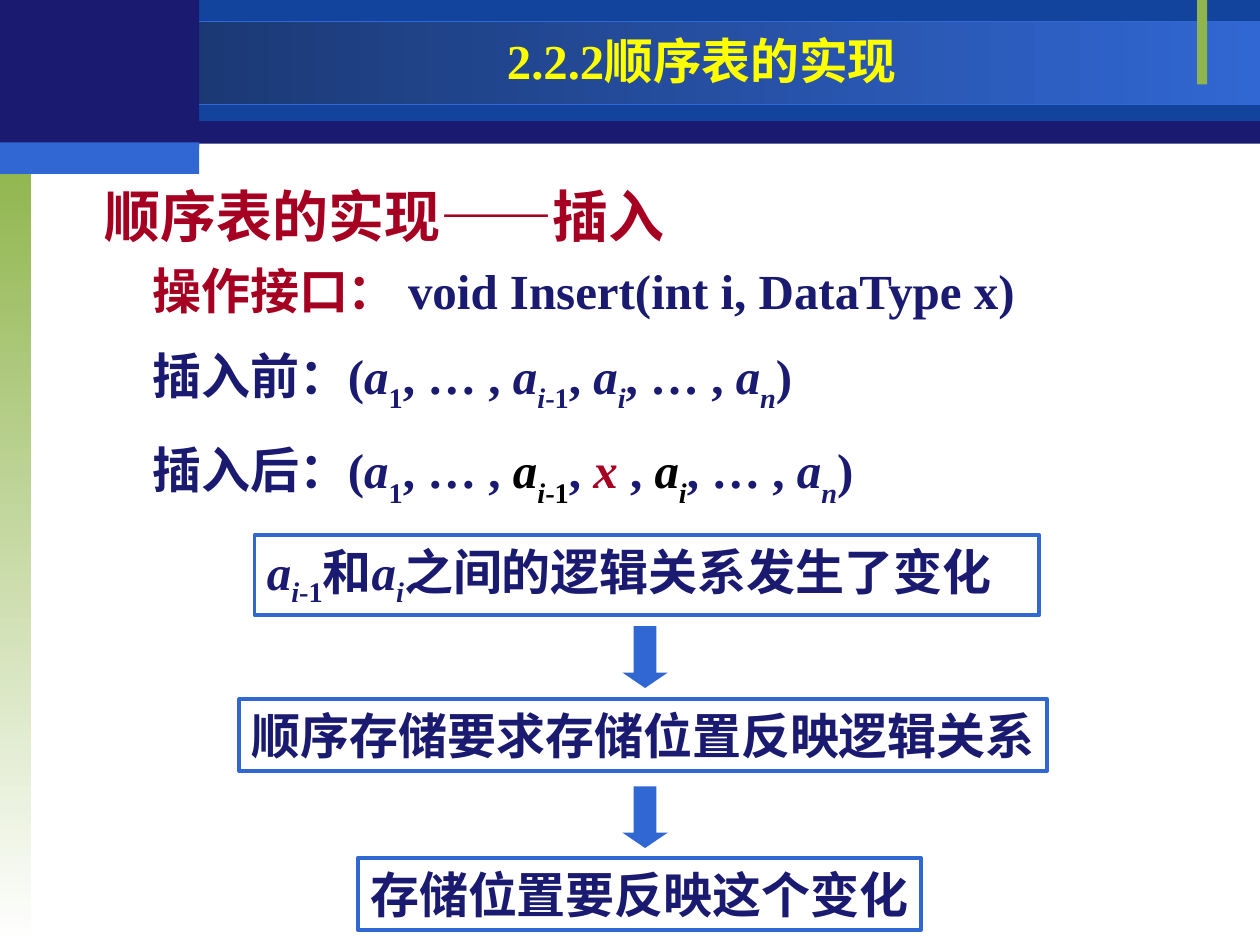
from pptx import Presentation
from pptx.dml.color import RGBColor
from pptx.enum import shapes, text
from pptx.util import Inches, Pt

COLORS = {"navy": "1A1A70", "royal": "12449E", "deep": "173062", "blue": "3167D3",
          "green": "90B54D", "white": "FFFFFF", "yellow": "FFFF00", "red": "A50021",
          "black": "000000"}
RGB = {name: RGBColor.from_string(value) for name, value in COLORS.items()}

prs = Presentation()
prs.slide_width, prs.slide_height = Inches(10), Inches(7.5)
slide = prs.slides.add_slide(prs.slide_layouts[5])


def add_block(box, colors=(), angle=0, line=None, width=0.75, preset=shapes.MSO_SHAPE.RECTANGLE):
    """Add a shape with no fill, one colour or a two-colour gradient."""
    block = slide.shapes.add_shape(preset, *map(Inches, box))
    block.shadow.inherit = False
    if len(colors) == 2:
        block.fill.gradient()
        block.fill.gradient_angle = angle
        for stop, color in zip(block.fill.gradient_stops, colors):
            stop.color.rgb = RGB[color]
    elif colors:
        block.fill.solid()
        block.fill.fore_color.rgb = RGB[colors[0]]
    else:
        block.fill.background()
    if line:
        block.line.color.rgb = RGB[line]
        block.line.width = Pt(width)
    else:
        block.line.fill.background()
    return block


def write(paragraph, pieces, color, size=28, font="Times New Roman", drop=-30):
    """Write pieces; "_" marks a subscript, a lone letter is italic, a pair sets its colour."""
    paragraph.font.size = Pt(size)
    paragraph.font.name = font
    paragraph.font.bold = True
    for piece in pieces:
        words, run_color = piece if isinstance(piece, tuple) else (piece, color)
        run = paragraph.add_run()
        run.text = words.lstrip("_")
        run.font.color.rgb = RGB[run_color]
        if run.text.strip() in ("a", "i", "n", "x"):
            run.font.italic = True
        if words.startswith("_"):
            run.font._element.set("baseline", str(drop * 1000))


# Header bands and side strip
add_block((0, 0.01, 10, 1.13), ["navy"])
add_block((1.58, 0, 8.42, 0.96), ["royal"])
add_block((0, 0.17, 10, 0.66), ["deep", "blue"], line="blue")
add_block((0, 1.25, 0.25, 6.25), ["green", "white"], angle=270)
add_block((9.5, 0, 0.08, 0.67), ["green"])
add_block((0, 0, 1.58, 1.17), ["navy"])
add_block((0, 1.13, 1.58, 0.25), ["blue"])

# Title, raised above the bands
title = slide.shapes.title
title.left, title.top, title.width, title.height = map(Inches, (1.58, 0.23, 7.98, 0.58))
title.element.getparent().append(title.element)
title.text_frame.auto_size = text.MSO_AUTO_SIZE.NONE
title.text_frame.vertical_anchor = text.MSO_ANCHOR.MIDDLE
heading = title.text_frame.paragraphs[0]
heading.alignment = text.PP_ALIGN.CENTER
heading.line_spacing = 0.8
write(heading, ["2.2.2顺序表的实现"], "yellow", size=27.9)

# Section heading
section = slide.shapes.add_textbox(*map(Inches, (0.73, 1.39, 6.48, 0.64))).text_frame
section.word_wrap = True
section.vertical_anchor = text.MSO_ANCHOR.MIDDLE
write(section.paragraphs[0], ["顺序表的实现——插入"], "red", size=32)

# Interface and the list before and after insertion
first = ["a", "_1", ", … , "]
last = [", … , ", "a", "_n", ")"]
previous, current = ["a", "_i", "_-1"], ["a", "_i"]
marked_previous, marked_current = ([(piece, "black") for piece in term]
                                   for term in (previous, current))
statements = [
    [("操作接口： ", "red"), "void Insert(int i, DataType x)"],
    ["插入前：(", *first, *previous, ", ", *current, *last],
    ["插入后：(", *first, *marked_previous, ", ", ("x ", "red"), ", ", *marked_current, *last],
]
body = slide.shapes.add_textbox(*map(Inches, (1.11, 2.07, 7.92, 2.07))).text_frame
body.word_wrap = True
for index, pieces in enumerate(statements):
    statement = body.add_paragraph() if index else body.paragraphs[0]
    statement.line_spacing = 1.1 if index else 0.9
    if index:
        statement.space_before = Pt(10.5)
    write(statement, pieces, "navy")

# Chain of reasoning
steps = [
    ((2.02, 4.25, 6.23, 0.63), "Times New Roman",
     [*previous, "和", *current, "之间的逻辑关系发生了变化"]),
    ((1.9, 5.55, 6.41, 0.57), "Times New Roman", ["顺序存储要求存储位置反映逻辑关系"]),
    ((2.84, 6.81, 4.47, 0.57), "Arial", ["存储位置要反映这个变化"]),
]
for box, font, pieces in steps:
    frame = add_block(box, line="blue", width=2.25).text_frame
    frame.word_wrap = False
    frame.auto_size = text.MSO_AUTO_SIZE.SHAPE_TO_FIT_TEXT
    frame.vertical_anchor = text.MSO_ANCHOR.TOP
    frame.paragraphs[0].alignment = text.PP_ALIGN.LEFT
    write(frame.paragraphs[0], pieces, "navy", font=font, drop=-25)

for top in (4.97, 6.24):
    arrow = add_block((4.94, top, 0.36, 0.49), ["blue"], preset=shapes.MSO_SHAPE.DOWN_ARROW)
    arrow.adjustments[0], arrow.adjustments[1] = 0.5, 0.34

prs.save("out.pptx")
